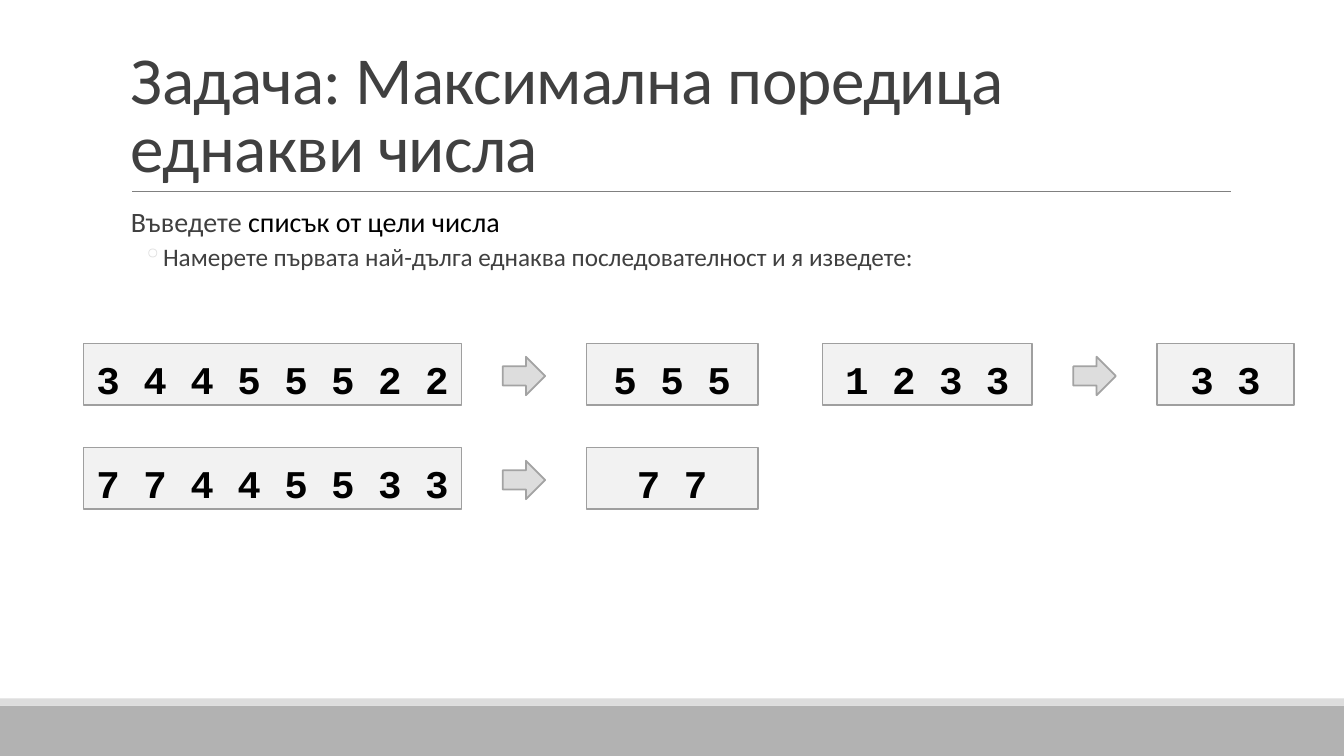
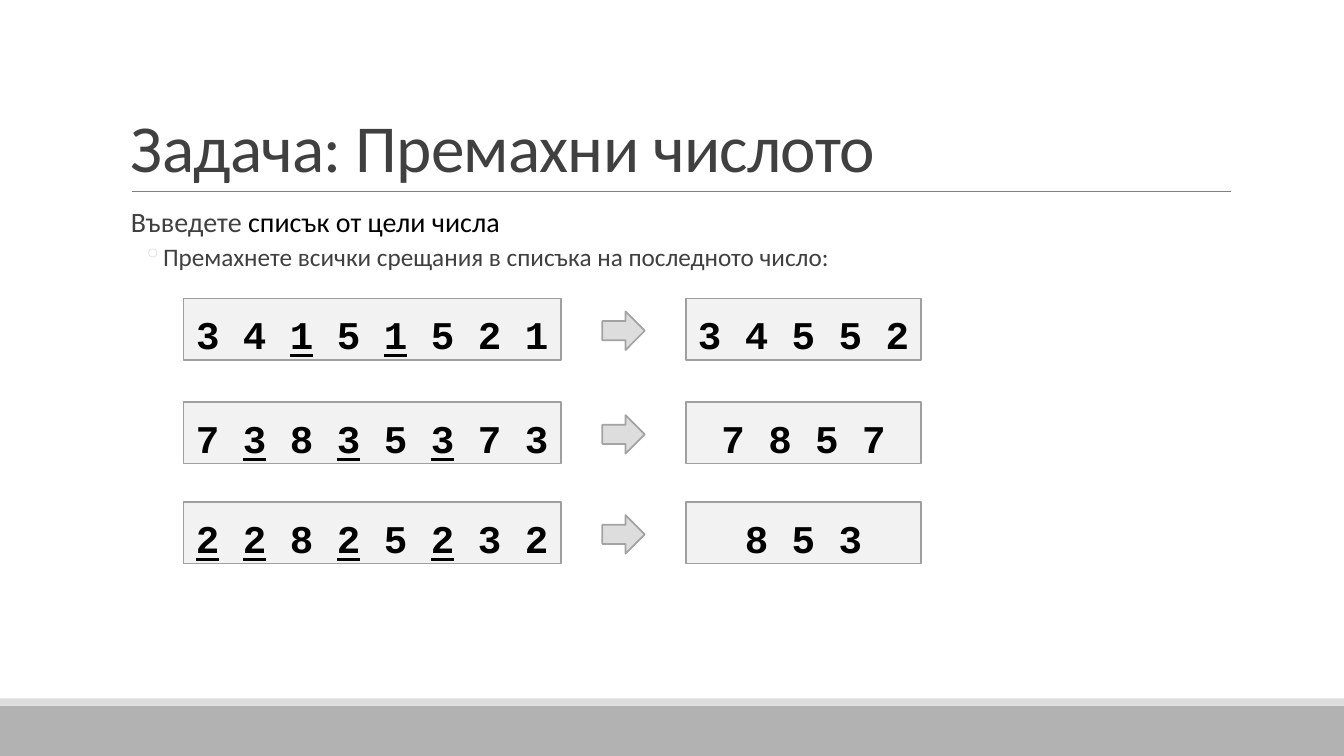
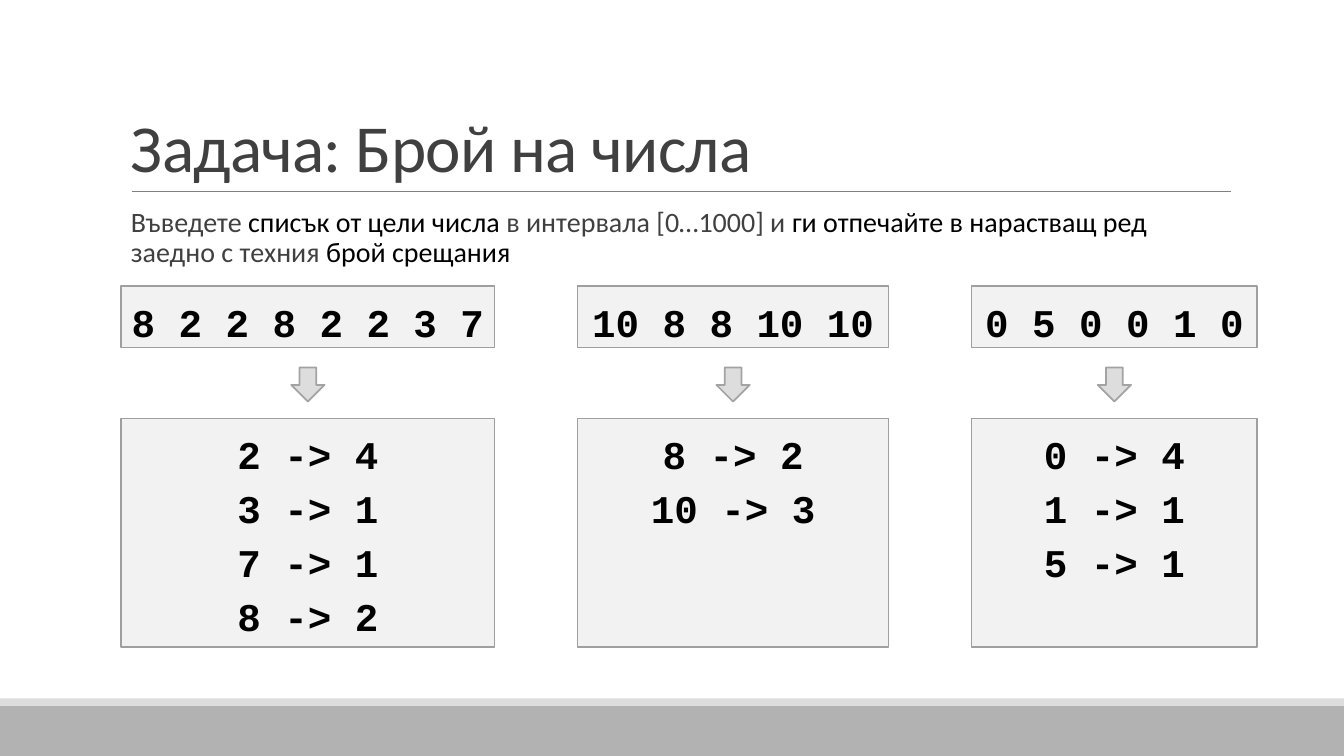
import pptx
import pptx.dml.color
import pptx.enum.shapes
import pptx.enum.text
import pptx.oxml.ns
import pptx.util
from lxml import etree

Cm, Pt = pptx.util.Cm, pptx.util.Pt
RGB = pptx.dml.color.RGBColor.from_string
SHAPE = pptx.enum.shapes.MSO_SHAPE
ANCHOR = pptx.enum.text.MSO_ANCHOR
qn = pptx.oxml.ns.qn

THEME = {
    "band": "B2B2B2",
    "accent": "DDDDDD",
    "rule": "808080",
    "box": "BFBFBF",
    "box_opacity": 20,
    "box_line": "9F9F9F",
    "arrow_line": "A3A3A3",
    "title": {"name": "Calibri", "size": Pt(48), "color": "404040"},
    "lead": {"name": "Calibri", "size": Pt(20), "color": "404040"},
    "detail": {"name": "Calibri", "size": Pt(18), "color": "404040"},
    "numbers": {"name": "Courier New", "size": Pt(28), "color": "000000", "bold": True},
    "strong": {"color": "000000"},
    "removed": {"underline": True},
}

BOX_HEIGHT = 1.55
RIGHT_ARROW = (1.07, 0.97)
DOWN_ARROW = (0.84, 0.86)
ARROW_GAP = 1.04
COLUMN_TOP, COLUMN_ARROW_TOP, RESULT_TOP, RESULT_HEIGHT = 7.21, 9.26, 10.54, 5.77

# Underscores enclose emphasised words. A row holds left, top, input width,
# output width, input, output; a column holds left, width, input, output lines.
SLIDES = [
    {
        "title": "Задача: Максимална поредица еднакви числа",
        "lead": "Въведете _списък от цели числа_",
        "detail": "Намерете първата най-дълга еднаква последователност и я изведете:",
        "rows": [
            (2.11, 8.66, 9.52, 4.32, "3 4 4 5 5 5 2 2", "5 5 5"),
            (2.11, 11.28, 9.52, 4.32, "7 7 4 4 5 5 3 3", "7 7"),
            (20.73, 8.66, 5.28, 3.45, "1 2 3 3", "3 3"),
        ],
    },
    {
        "title": "Задача: Премахни числото",
        "lead": "Въведете _списък от цели числа_",
        "detail": "Премахнете всички срещания в списъка на последното число:",
        "rows": [
            (4.62, 7.52, 9.52, 5.92, "3 4 _1_ 5 _1_ 5 2 1", "3 4 5 5 2"),
            (4.62, 10.13, 9.52, 5.92, "7 _3_ 8 _3_ 5 _3_ 7 3", "7 8 5 7"),
            (4.62, 12.65, 9.52, 5.92, "_2_ _2_ 8 _2_ 5 _2_ 3 2", "8 5 3"),
        ],
    },
    {
        "title": "Задача: Брой на числа",
        "lead": "Въведете _списък от цели числа _в интервала [0…1000] и "
                "_ги отпечайте в нарастващ ред _заедно с техния _брой срещания_",
        "columns": [
            (3.05, 9.42, "8 2 2 8 2 2 3 7", ["2 -> 4", "3 -> 1", "7 -> 1", "8 -> 2"]),
            (14.55, 7.85, "10 8 8 10 10", ["8 -> 2", "10 -> 3"]),
            (24.49, 7.19, "0 5 0 0 1 0", ["0 -> 4", "1 -> 1", "5 -> 1"]),
        ],
    },
]


def write(paragraph, text, style, emphasis, **layout):
    """Set paragraph layout and add runs, emphasising text between underscores."""
    for name, value in layout.items():
        setattr(paragraph, name, value)
    for index, part in enumerate(text.split("_")):
        if not part:
            continue
        run = paragraph.add_run()
        run.text = part
        for name, value in {**style, **(emphasis if index % 2 else {})}.items():
            if name == "color":
                run.font.color.rgb = RGB(value)
            else:
                setattr(run.font, name, value)


def add_figure(slide, kind, place, fill, line=None, line_width=1, lines=()):
    """Add a flat shape; one with number lines gets a see-through fill."""
    shape = slide.shapes.add_shape(kind, *map(Cm, place))
    shape.shadow.inherit = False
    shape.fill.solid()
    shape.fill.fore_color.rgb = RGB(fill)
    if line:
        shape.line.color.rgb = RGB(line)
        shape.line.width = Pt(line_width)
    else:
        shape.line.fill.background()
    if lines:
        color = shape._element.spPr.find(qn("a:solidFill")).find(qn("a:srgbClr"))
        etree.SubElement(color, qn("a:alpha"), val=str(THEME["box_opacity"] * 1000))
        frame = shape.text_frame
        frame.word_wrap = True
        frame.vertical_anchor = ANCHOR.TOP
        for index, text in enumerate(lines):
            paragraph = frame.add_paragraph() if index else frame.paragraphs[0]
            write(paragraph, text, THEME["numbers"], THEME["removed"],
                  alignment=pptx.enum.text.PP_ALIGN.CENTER, line_spacing=1.15)


presentation = pptx.Presentation()
presentation.slide_width = Cm(33.87)
presentation.slide_height = Cm(19.05)
box_style = (THEME["box"], THEME["box_line"], 1)
arrow_style = (THEME["accent"], THEME["arrow_line"], 1.25)

for content in SLIDES:
    slide = presentation.slides.add_slide(presentation.slide_layouts[6])

    add_figure(slide, SHAPE.RECTANGLE, (0, 17.78, 33.87, 1.27), THEME["band"])
    add_figure(slide, SHAPE.RECTANGLE, (0, 17.6, 33.87, 0.18), THEME["accent"])
    rule = slide.shapes.add_connector(
        pptx.enum.shapes.MSO_CONNECTOR.STRAIGHT, Cm(3.33), Cm(4.83), Cm(31.01), Cm(4.83))
    rule.line.color.rgb = RGB(THEME["rule"])
    rule.line.width = Pt(0.5)
    etree.SubElement(rule._element.spPr, qn("a:effectLst"))

    title = slide.shapes.add_textbox(Cm(3.05), Cm(0.79), Cm(27.94), Cm(4.04)).text_frame
    title.word_wrap = True
    title.vertical_anchor = ANCHOR.BOTTOM
    write(title.paragraphs[0], content["title"], THEME["title"], {}, line_spacing=0.85)
    title.paragraphs[0].runs[0].font._element.set("spc", "-50")

    body = slide.shapes.add_textbox(Cm(3.05), Cm(5.13), Cm(27.94), Cm(11.18)).text_frame
    body.word_wrap = True
    body.margin_right = 0
    write(body.paragraphs[0], content["lead"], THEME["lead"], THEME["strong"],
          line_spacing=0.9, space_after=Pt(2))
    if "detail" in content:
        paragraph = body.add_paragraph()
        properties = paragraph._p.get_or_add_pPr()
        properties.set("marL", str(Cm(0.81)))
        properties.set("indent", str(-Cm(0.51)))
        bullet_color = etree.SubElement(properties, qn("a:buClr"))
        etree.SubElement(bullet_color, qn("a:srgbClr"), val=THEME["accent"])
        etree.SubElement(properties, qn("a:buChar"), char="◦")
        write(paragraph, content["detail"], THEME["detail"], {}, level=1,
              line_spacing=0.9, space_before=Pt(2), space_after=Pt(4))

    for left, top, input_width, output_width, given, result in content.get("rows", []):
        arrow_left = left + input_width + ARROW_GAP
        output_left = arrow_left + RIGHT_ARROW[0] + ARROW_GAP
        add_figure(slide, SHAPE.RECTANGLE, (left, top, input_width, BOX_HEIGHT),
                   *box_style, [given])
        add_figure(slide, SHAPE.RIGHT_ARROW, (arrow_left, top + 0.33, *RIGHT_ARROW),
                   *arrow_style)
        add_figure(slide, SHAPE.RECTANGLE, (output_left, top, output_width, BOX_HEIGHT),
                   *box_style, [result])

    for left, width, given, counts in content.get("columns", []):
        arrow_left = left + (width - DOWN_ARROW[0]) / 2
        add_figure(slide, SHAPE.RECTANGLE, (left, COLUMN_TOP, width, BOX_HEIGHT),
                   *box_style, [given])
        add_figure(slide, SHAPE.RECTANGLE, (left, RESULT_TOP, width, RESULT_HEIGHT),
                   *box_style, counts)
        add_figure(slide, SHAPE.DOWN_ARROW, (arrow_left, COLUMN_ARROW_TOP, *DOWN_ARROW),
                   *arrow_style)

presentation.save("out.pptx")
